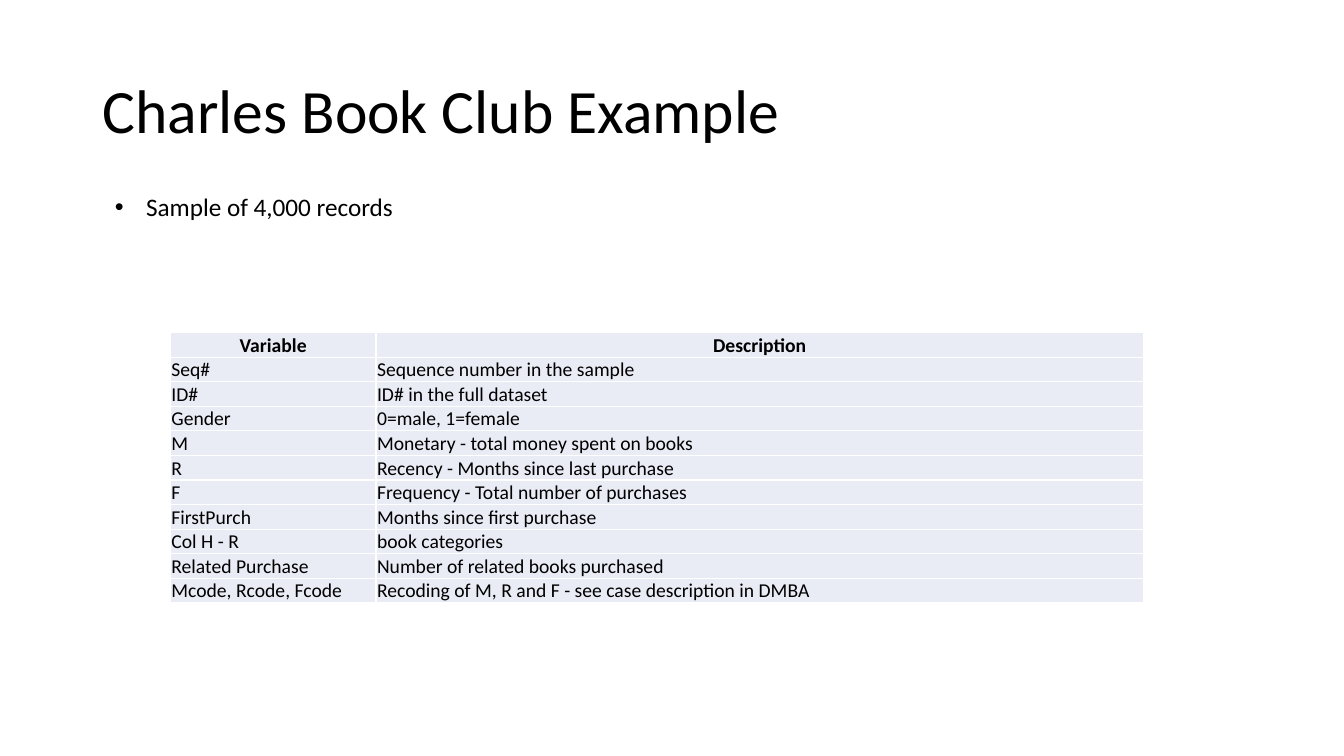
from lxml import etree
from pptx import Presentation
from pptx.dml.color import RGBColor
from pptx.enum.text import MSO_ANCHOR, PP_ALIGN
from pptx.oxml.ns import qn
from pptx.util import Inches, Pt

MIDDLE, BOTTOM = MSO_ANCHOR.MIDDLE, MSO_ANCHOR.BOTTOM
LEFT, CENTER = PP_ALIGN.LEFT, PP_ALIGN.CENTER

THEME = {
    "font": "Calibri",
    "text": RGBColor.from_string("000000"),
    "cell": RGBColor.from_string("E9EBF5"),
    "border": "FFFFFF",
    "title_size": Pt(44),
    "bullet_size": Pt(18),
    "table_size": Pt(14),
}

VARIABLES = [
    ("Variable", "Description"),
    ("Seq#", "Sequence number in the sample"),
    ("ID#", "ID# in the full dataset"),
    ("Gender", "0=male, 1=female"),
    ("M", "Monetary - total money spent on books"),
    ("R", "Recency - Months since last purchase"),
    ("F", "Frequency - Total number of purchases"),
    ("FirstPurch", "Months since first purchase"),
    ("Col H - R", "book categories"),
    ("Related Purchase", "Number of related books purchased"),
    ("Mcode, Rcode, Fcode", "Recoding of M, R and F - see case description in DMBA"),
]
COLUMN_WIDTHS = (Inches(2.04), Inches(7.61))
ROW_HEIGHT = Inches(2.68 / len(VARIABLES))


def add_run(paragraph, text, size, bold=False):
    run = paragraph.add_run()
    run.text = text
    run.font.name = THEME["font"]
    run.font.size = size
    run.font.bold = bold
    run.font.color.rgb = THEME["text"]


def add_borders(cell):
    """Draw a 1 pt line on all four sides of a table cell."""
    properties = cell._tc.get_or_add_tcPr()
    for position, side in enumerate(("lnL", "lnR", "lnT", "lnB")):
        line = etree.Element(qn(f"a:{side}"), w=str(Pt(1)))
        fill = etree.SubElement(line, qn("a:solidFill"))
        etree.SubElement(fill, qn("a:srgbClr"), val=THEME["border"])
        properties.insert(position, line)


presentation = Presentation()
presentation.slide_width = Inches(13.33)
presentation.slide_height = Inches(7.5)
slide = presentation.slides.add_slide(presentation.slide_layouts[6])

# Title
title = slide.shapes.add_textbox(Inches(0.92), Inches(0.4), Inches(11.5), Inches(1.45))
title.text_frame.word_wrap = True
title.text_frame.vertical_anchor = MIDDLE
paragraph = title.text_frame.paragraphs[0]
paragraph.line_spacing = 0.9
add_run(paragraph, "Charles Book Club Example", THEME["title_size"])

# Bullet
sample = slide.shapes.add_textbox(Inches(1.04), Inches(1.85), Inches(4.98), Inches(0.71))
sample.text_frame.word_wrap = True
paragraph = sample.text_frame.paragraphs[0]
properties = paragraph._p.get_or_add_pPr()
properties.set("marL", str(Inches(0.31)))
properties.set("indent", str(-Inches(0.31)))
etree.SubElement(properties, qn("a:buFont"), typeface="Arial")
etree.SubElement(properties, qn("a:buChar"), char="•")
add_run(paragraph, "Sample of 4,000 records", THEME["bullet_size"])

# Variable table
table = slide.shapes.add_table(
    len(VARIABLES), len(COLUMN_WIDTHS), Inches(1.69), Inches(3.3),
    sum(COLUMN_WIDTHS), ROW_HEIGHT * len(VARIABLES),
).table
table.first_row = False
table.horz_banding = False
for column, width in zip(table.columns, COLUMN_WIDTHS):
    column.width = width

for row_index, texts in enumerate(VARIABLES):
    table.rows[row_index].height = ROW_HEIGHT
    is_header = row_index == 0
    for column_index, text in enumerate(texts):
        cell = table.cell(row_index, column_index)
        cell.margin_left = cell.margin_right = cell.margin_top = Inches(0.01)
        cell.margin_bottom = 0
        cell.vertical_anchor = BOTTOM
        cell.fill.solid()
        cell.fill.fore_color.rgb = THEME["cell"]
        add_borders(cell)
        paragraph = cell.text_frame.paragraphs[0]
        paragraph.alignment = CENTER if is_header else LEFT
        add_run(paragraph, text, THEME["table_size"], bold=is_header)

presentation.save("out.pptx")
